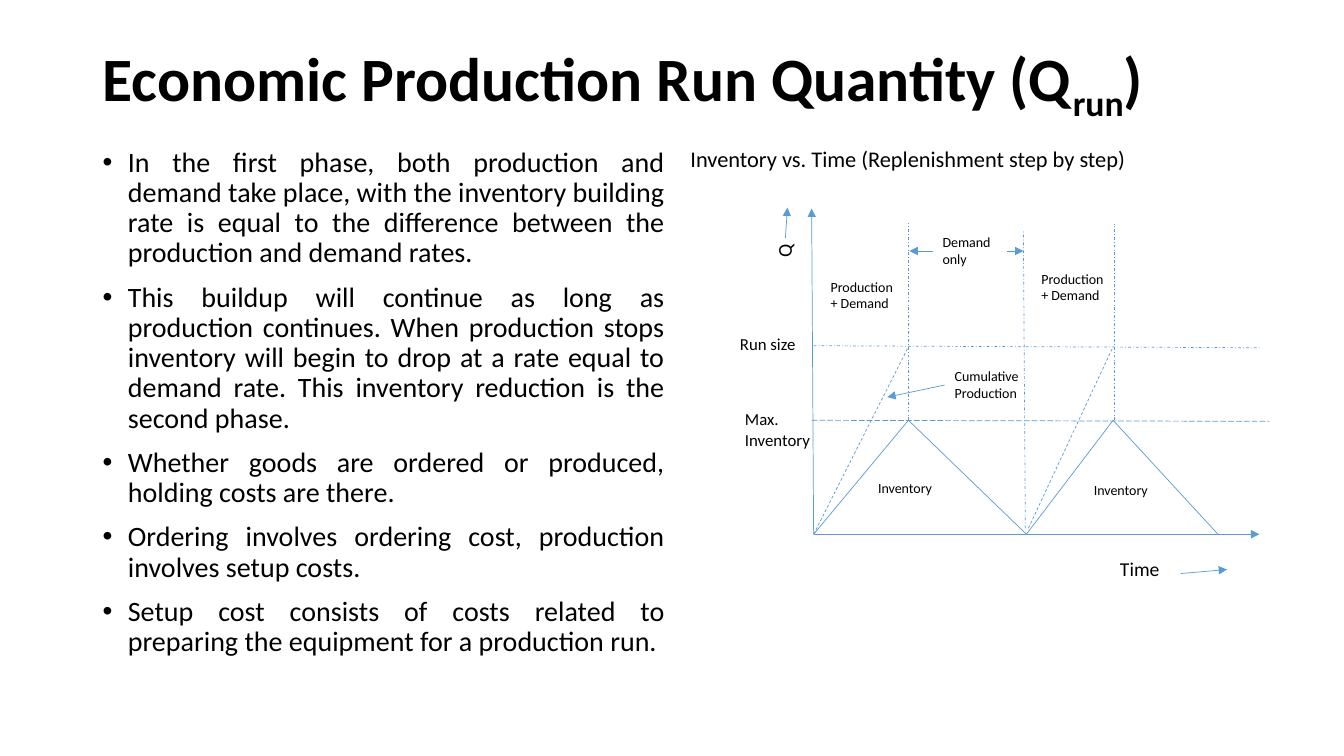
import pptx
import pptx.util
import pptx.dml.color
import pptx.enum.dml
import pptx.enum.shapes
import pptx.enum.text
import pptx.oxml.ns
import lxml.etree
from dataclasses import dataclass


@dataclass(frozen=True)
class Theme:
    font: str = "Calibri"
    ink: str = "000000"
    blue: str = "5B9BD5"
    title: int = 44
    body: int = 20
    lead: int = 16
    axis: int = 14
    mark: int = 12
    note: int = 10
    rule: float = 0.5


THEME = Theme()
SCALE = 9144  # EMU in one px, 100 px to the inch
WIDE, HIGH = 1333, 750

TITLE = [("Economic Production Run Quantity (Q", 0), ("run", -25000), (")", 0)]
POINTS = [
    "In the first phase, both production and demand take place, with the "
    "inventory building rate is equal to the difference between the "
    "production and demand rates.",
    "This buildup will continue as long as production continues. When "
    "production stops inventory will begin to drop at a rate equal to "
    "demand rate. This inventory reduction is the second phase.",
    "Whether goods are ordered or produced, holding costs are there.",
    "Ordering involves ordering cost, production involves setup costs.",
    "Setup cost consists of costs related to preparing the equipment for a "
    "production run.",
]
LEAD = "Inventory vs. Time (Replenishment step by step)"

# key: words, box, size, format values
LABELS = {
    "time": ("Time", (1101, 548, 116, 34), THEME.axis, {}),
    "qty": ("Q", (752, 216, 58, 40), THEME.axis, {"rotation": 270}),
    "max": ("Max. Inventory", (729, 401, 89, 50), THEME.mark, {}),
    "run": ("Run size", (724, 326, 89, 30), THEME.mark, {}),
    "total": ("Cumulative Production", (937, 360, 98, 44), THEME.note, {}),
    "only": ("Demand only", (925, 227, 74, 44), THEME.note, {}),
    "stock1": ("Inventory", (861, 471, 78, 27), THEME.note, {"wrap": False}),
    "stock2": ("Inventory", (1075, 473, 78, 27), THEME.note, {"wrap": False}),
    "both1": ("Production + Demand", (814, 271, 86, 44), THEME.note, {}),
    "both2": ("Production + Demand", (1023, 263, 86, 44), THEME.note, {}),
}

# Turning points of the chart
START, PEAK1, EMPTY, PEAK2, END = 807, 901, 1018, 1104, 1208
BASE, MAX, RUN = 530, 417, 344

# style: lines as (x1, y1, x2, y2)
LINES = {
    "arrow": [
        (START, BASE, 1249, BASE),
        (START, BASE, 805, 207),
        (1171, 569, 1217, 565),
        (779, 236, 781, 206),
    ],
    "solid": [
        (START, BASE, PEAK1, MAX),
        (PEAK1, MAX, EMPTY, BASE),
        (EMPTY, BASE, PEAK2, MAX),
        (PEAK2, MAX, END, BASE),
    ],
    "long": [(805, MAX, 1259, 418)],
    "dot": [
        (START, 343, 1249, 345),
        (PEAK1, MAX, PEAK1, 221),
        (1105, MAX, 1105, 222),
        (1017, 524, 1015, 228),
    ],
    "dash": [
        (START, BASE, PEAK1, RUN),
        (1020, 524, PEAK2, RUN),
    ],
}
# label, side, end point
POINTERS = [
    ("total", 1, (880, 394)),
    ("only", 3, (1015, 249)),
    ("only", 1, (902, 249)),
]
DASHES = {
    "long": pptx.enum.dml.MSO_LINE.LONG_DASH,
    "dot": pptx.enum.dml.MSO_LINE.DASH_DOT,
    "dash": pptx.enum.dml.MSO_LINE.DASH,
}


def px(*nums):
    return [pptx.util.Emu(round(num * SCALE)) for num in nums]


def apply(item, values):
    for name, value in values.items():
        setattr(item, name, value)


def color(code):
    return pptx.dml.color.RGBColor.from_string(code)


def child(node, tag, **attrs):
    return lxml.etree.SubElement(node, pptx.oxml.ns.qn(tag), attrs)


def add_run(para, words, size, bold=False):
    run = para.add_run()
    run.text = words
    apply(run.font, {"name": THEME.font, "size": pptx.util.Pt(size),
                     "bold": bold})
    run.font.color.rgb = color(THEME.ink)
    return run


def add_box(slide, box, wrap=True, rotation=0):
    shape = slide.shapes.add_textbox(*px(*box))
    shape.rotation = rotation
    shape.text_frame.word_wrap = wrap
    return shape


def add_line(slide, ends, style):
    kind = pptx.enum.shapes.MSO_CONNECTOR.STRAIGHT
    line = slide.shapes.add_connector(kind, *px(*ends))
    line.line.color.rgb = color(THEME.blue)
    line.line.width = pptx.util.Pt(THEME.rule)
    if style in DASHES:
        line.line.dash_style = DASHES[style]
    props = line._element.spPr
    if style == "arrow":
        child(props.find(pptx.oxml.ns.qn("a:ln")), "a:tailEnd",
              type="triangle")
    child(props, "a:effectLst")
    return line


def add_title(slide):
    frame = add_box(slide, (92, 40, 1098, 76)).text_frame
    frame.vertical_anchor = pptx.enum.text.MSO_ANCHOR.MIDDLE
    para = frame.paragraphs[0]
    para.line_spacing = 0.9
    for words, shift in TITLE:
        run = add_run(para, words, THEME.title, True)
        if shift:
            run._r.get_or_add_rPr().set("baseline", str(shift))


def add_body(slide, box, texts, size, bullet):
    frame = add_box(slide, box).text_frame
    for num, words in enumerate(texts):
        para = frame.add_paragraph() if num else frame.paragraphs[0]
        apply(para, {"line_spacing": 0.9, "space_before": pptx.util.Pt(10)})
        if bullet:
            para.alignment = pptx.enum.text.PP_ALIGN.JUSTIFY
            props = para._p.get_or_add_pPr()
            indent = px(25)[0]
            props.set("marL", str(indent))
            props.set("indent", str(-indent))
            child(props, "a:buFont", typeface="Arial")
            child(props, "a:buChar", char="•")
        add_run(para, words, size)


def main():
    deck = pptx.Presentation()
    deck.slide_width, deck.slide_height = px(WIDE, HIGH)
    slide = deck.slides.add_slide(deck.slide_layouts[6])
    add_title(slide)
    add_body(slide, (92, 142, 577, 534), POINTS, THEME.body, True)
    add_body(slide, (675, 142, 584, 534), [LEAD], THEME.lead, False)
    boxes = {}
    for key, (words, box, size, values) in LABELS.items():
        boxes[key] = add_box(slide, box, **values)
        add_run(boxes[key].text_frame.paragraphs[0], words, size)
    for style, group in LINES.items():
        for ends in group:
            add_line(slide, ends, style)
    for key, side, end in POINTERS:
        add_line(slide, end + end, "arrow").begin_connect(boxes[key], side)
    deck.save("out.pptx")


if __name__ == "__main__":
    main()
